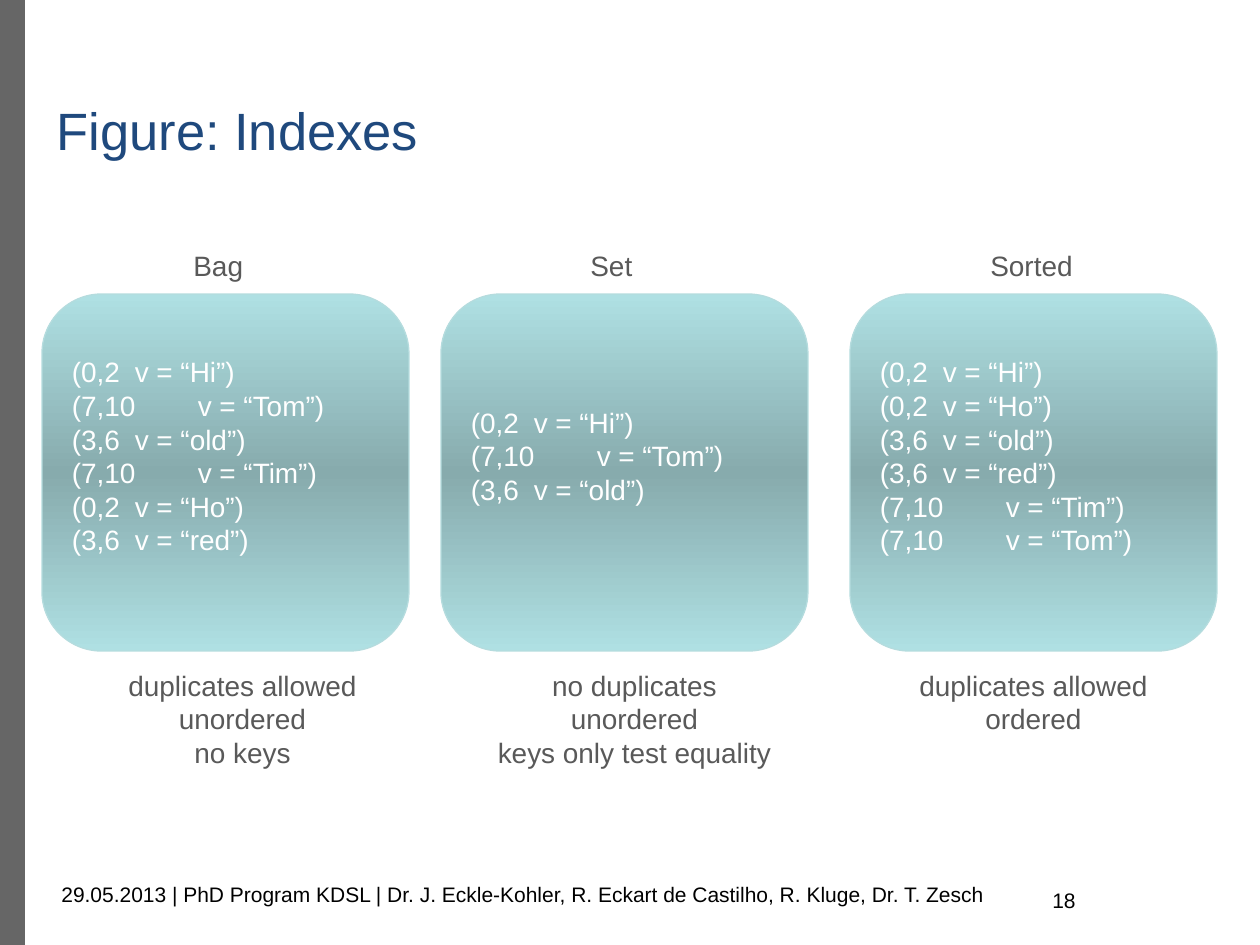
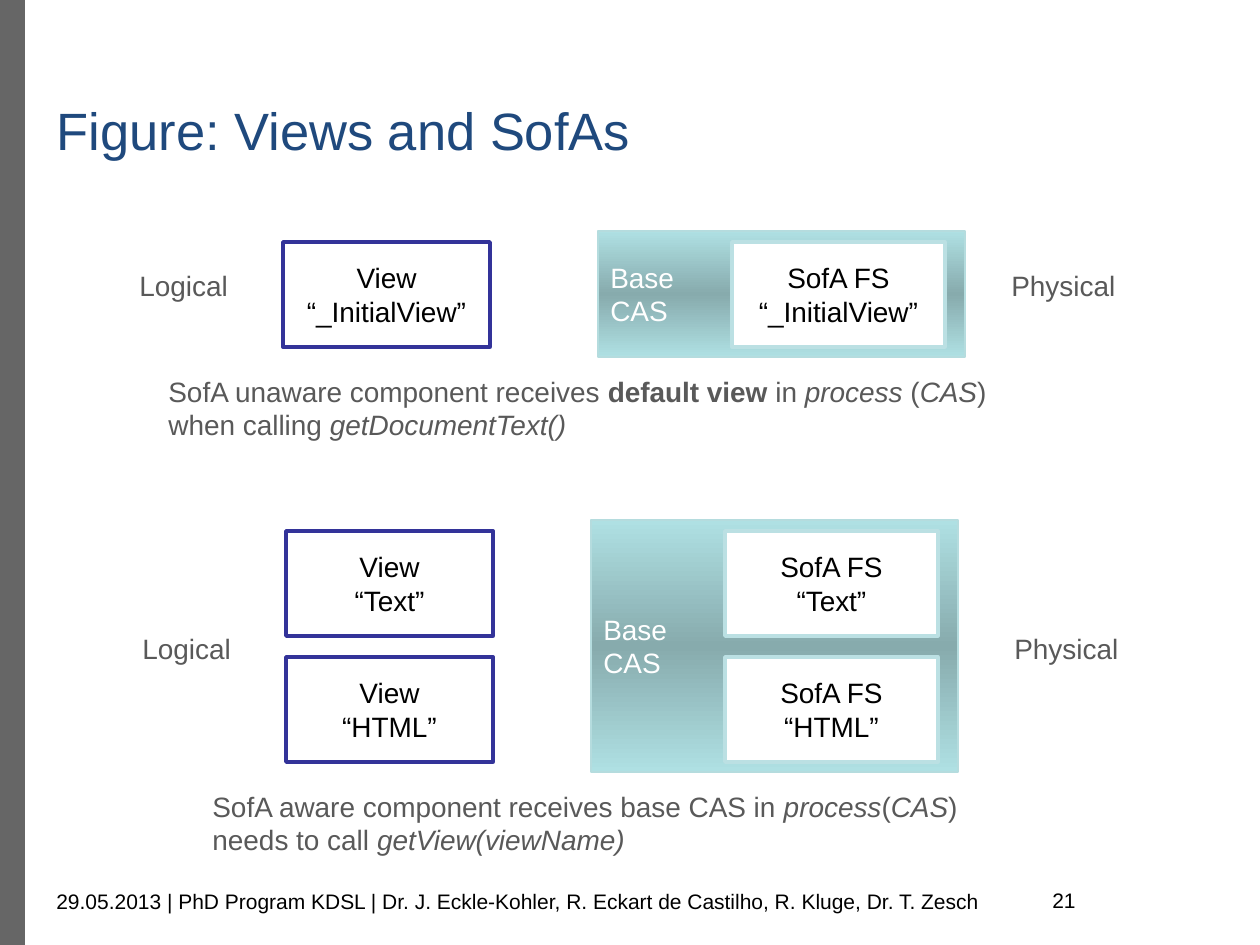
"""Build two figure slides: CAS index types, and views with their SofAs."""
from copy import deepcopy

from pptx import Presentation
from pptx.dml.color import RGBColor
from pptx.enum.shapes import MSO_SHAPE
from pptx.enum.text import MSO_ANCHOR, MSO_AUTO_SIZE, PP_ALIGN
from pptx.oxml.ns import qn
from pptx.util import Pt

RECT, ROUNDED = MSO_SHAPE.RECTANGLE, MSO_SHAPE.ROUNDED_RECTANGLE
TOP, MIDDLE = MSO_ANCHOR.TOP, MSO_ANCHOR.MIDDLE
LEFT, CENTER = PP_ALIGN.LEFT, PP_ALIGN.CENTER
NO_AUTOFIT = MSO_AUTO_SIZE.NONE

PX = 914400 // 126
COLORS = {
    "bar": "666666", "title": "1F497D", "label": "595959", "black": "000000",
    "white": "FFFFFF", "teal": "AFE0E3", "teal_dark": "87ABAD",
    "teal_edge": "B5DCDE", "sofa_edge": "BBE0E3", "view_edge": "333399",
}
RGB = {name: RGBColor.from_string(value) for name, value in COLORS.items()}
FOOTER = ("29.05.2013 | PhD Program KDSL | Dr. J. Eckle-Kohler, "
          "R. Eckart de Castilho, R. Kluge, Dr. T. Zesch")


def write(shape, lines, color="label", size=16, align=LEFT, anchor=TOP):
    """Fill a shape with lines, each a string or a list of (text, style) runs."""
    frame = shape.text_frame
    frame.word_wrap = True
    frame.auto_size = NO_AUTOFIT
    frame.vertical_anchor = anchor
    for index, line in enumerate(lines):
        paragraph = frame.add_paragraph() if index else frame.paragraphs[0]
        paragraph.alignment = align
        paragraph.font.name = "Arial"
        paragraph.font.size = Pt(size)
        paragraph.font.color.rgb = RGB[color]
        for text, style in [(line, "")] if isinstance(line, str) else line:
            run = paragraph.add_run()
            run.text = text
            if style == "bold":
                run.font.bold = True
            elif style == "italic":
                run.font.italic = True


def add_box(slide, kind, at, fill, edge=None, width=0.75):
    """Add a flat box; a "gradient" fill runs teal, dark, teal from top to bottom."""
    box = slide.shapes.add_shape(kind, *[value * PX for value in at])
    box.shadow.inherit = False
    if fill == "gradient":
        box.fill.gradient()
        box.fill.gradient_angle = 270
        for stop in box.fill.gradient_stops:
            stop.color.rgb = RGB["teal"]
        stops = box.element.spPr.find(qn("a:gradFill")).find(qn("a:gsLst"))
        stops.insert(1, deepcopy(stops[0]))
        box.fill.gradient_stops[1].position = 0.5
        box.fill.gradient_stops[1].color.rgb = RGB["teal_dark"]
    else:
        box.fill.solid()
        box.fill.fore_color.rgb = RGB[fill]
    if edge:
        box.line.color.rgb = RGB[edge]
        box.line.width = Pt(width)
    else:
        box.line.fill.background()
    return box


prs = Presentation()
prs.slide_width, prs.slide_height = 1260 * PX, 945 * PX

pages = []
for heading, number, footer_left, footer_top in [
    ("Figure: Indexes", "18", 49, 869),
    ("Figure: Views and SofAs", "21", 44, 876),
]:
    slide = prs.slides.add_slide(prs.slide_layouts[5])
    title = slide.shapes.title
    title.left, title.top, title.width, title.height = [
        value * PX for value in (44, 86, 1201, 94)]
    title.text_frame.margin_top = 12 * PX
    write(title, [heading], "title", 30)
    for text, at in [(FOOTER, (footer_left, footer_top, 983, 50)),
                     (number, (1040, 875, 88, 50))]:
        note = slide.shapes.add_textbox(*[value * PX for value in at])
        write(note, [text], "black", 12, anchor=MIDDLE)
    pages.append(slide)
indexes, views = pages

bar = add_box(indexes, RECT, (0, 0, 25, 945), "bar")
prs.slide_master.shapes.element.insert(2, bar.element)

HI, HO = ("0,2", "Hi"), ("0,2", "Ho")
TOM, TIM = ("7,10", "Tom"), ("7,10", "Tim")
OLD, RED = ("3,6", "old"), ("3,6", "red")
for name, name_at, panel_left, entries, traits, traits_at in [
    ("Bag", (181, 81), 42, [HI, TOM, OLD, TIM, HO, RED],
     ["duplicates allowed", "unordered", "no keys"], (102, 281)),
    ("Set", (578, 72), 441, [HI, TOM, OLD],
     ["no duplicates", "unordered", "keys only test equality"], (469, 331)),
    ("Sorted", (978, 117), 850, [HI, HO, OLD, RED, TIM, TOM],
     ["duplicates allowed", "ordered"], (893, 281)),
]:
    panel = add_box(indexes, ROUNDED, (panel_left, 294, 367, 357),
                    "gradient", "teal_edge")
    panel.text_frame.margin_bottom = 40 * PX
    write(panel, [f"({span}\tv = “{value}”)" for span, value in entries],
          "white", anchor=MIDDLE)
    for lines, (left, width), top, align in [
        ([name], name_at, 242, LEFT), (traits, traits_at, 662, CENTER),
    ]:
        label = indexes.shapes.add_textbox(left * PX, top * PX, width * PX,
                                           (17 + 34 * len(lines)) * PX)
        write(label, lines, align=align)

for names, top, logical_left, view_left, base_left, label_top, caption_at, caption in [
    (["_InitialView"], 231, 127, 283, 598, 262, (156, 368, 942, 94), [
        [("SofA unaware component receives ", ""), ("default view", "bold"),
         (" in ", ""), ("process", "italic"), (" (", ""), ("CAS", "italic"),
         (")", "")],
        [("when calling ", ""), ("getDocumentText()", "italic")]]),
    (["Text", "HTML"], 520, 130, 286, 591, 625, (200, 783, 866, 88), [
        [("SofA aware component receives base CAS in ", ""),
         ("process", "italic"), ("(", ""), ("CAS", "italic"), (")", "")],
        [("needs to call ", ""), ("getView(viewName)", "italic")]]),
]:
    base = add_box(views, RECT, (base_left, top, 367, 126 * len(names)),
                   "gradient", "teal_edge")
    write(base, ["Base", "CAS"], "white", anchor=MIDDLE)
    for row, name in enumerate(names):
        for role, left, width, edge in [
            ("View", view_left, 207, "view_edge"),
            ("SofA FS", base_left + 134, 213, "sofa_edge"),
        ]:
            box = add_box(views, RECT, (left, top + 11 + 126 * row, width, 105),
                          "white", edge, 2)
            write(box, [role, f"“{name}”"], "black", align=CENTER, anchor=MIDDLE)
    for lines, at in [
        (["Logical"], (logical_left, label_top, 125, 50)),
        (["Physical"], (logical_left + 872, label_top, 141, 50)),
        (caption, caption_at),
    ]:
        label = views.shapes.add_textbox(*[value * PX for value in at])
        write(label, lines)

prs.save("out.pptx")
